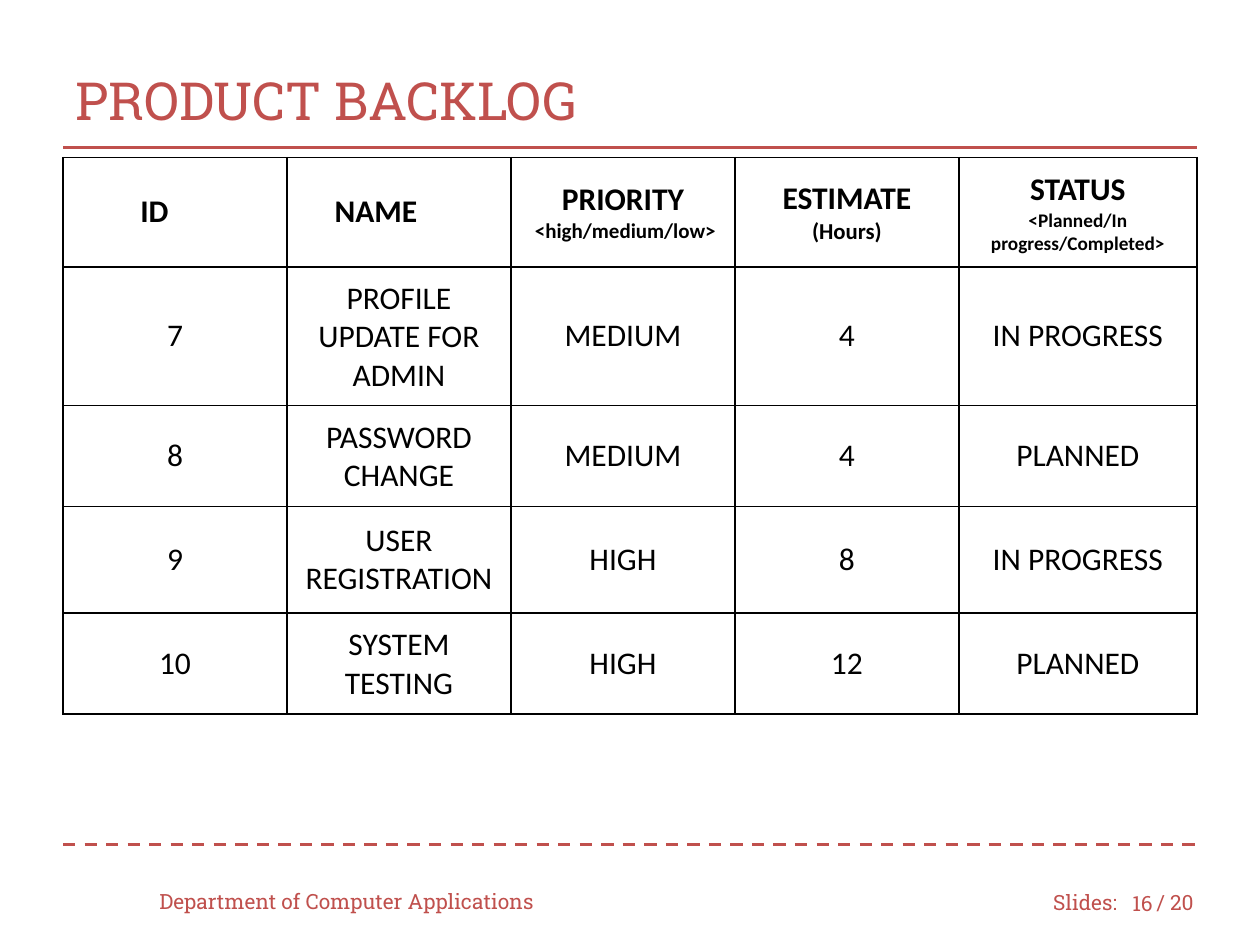
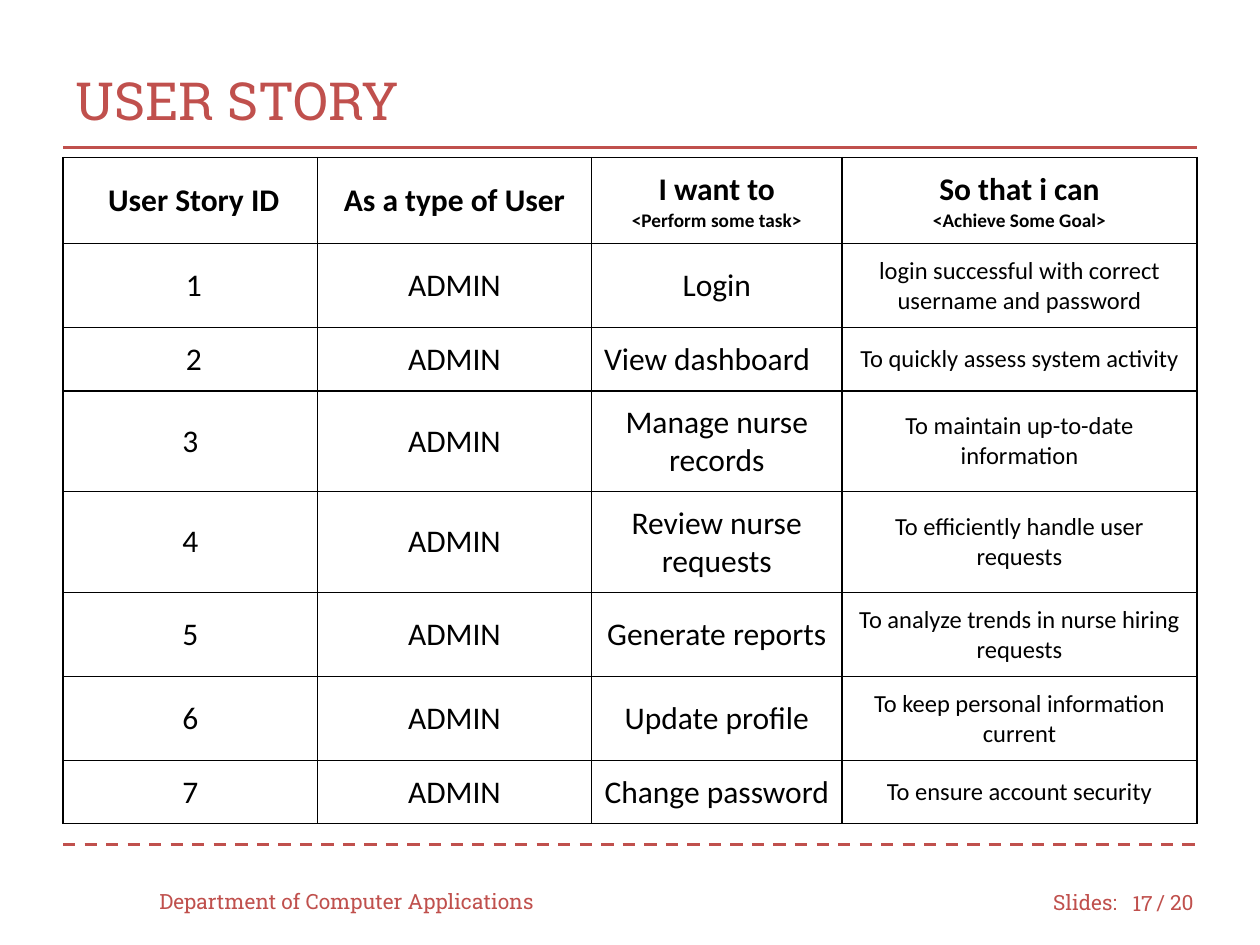
"""Build the product backlog and user story slides."""
from lxml import etree
from pptx import Presentation
from pptx import util as u
from pptx.dml.color import RGBColor
from pptx.enum import dml, shapes, text
from pptx.oxml.ns import qn

RED, BLACK, WHITE = "C0504D", "000000", "FFFFFF"
HEAD_FONT, TABLE_FONT = "Roboto Slab", "Calibri"
LEFT, CENTER, RIGHT = text.PP_ALIGN.LEFT, text.PP_ALIGN.CENTER, text.PP_ALIGN.RIGHT


def style(p, size, name, color, align=LEFT, bold=False):
    p.alignment = align
    p.font.size = u.Pt(size)
    p.font.name = name
    p.font.bold = bold
    p.font.color.rgb = RGBColor.from_string(color)


def add_borders(cell):
    tcPr = cell._tc.get_or_add_tcPr()
    for side in ("a:lnL", "a:lnR", "a:lnT", "a:lnB"):
        ln = etree.SubElement(tcPr, qn(side), w=str(u.Pt(1)))
        fill = etree.SubElement(ln, qn("a:solidFill"))
        etree.SubElement(fill, qn("a:srgbClr"), val=BLACK)


backlog = {
    "title": "PRODUCT BACKLOG",
    "widths": [128, 128, 128, 128, 136],
    "heights": [60, 35, 35, 61, 55.5],
    "sizes": [18, 18, 18, 18, 18],
    "note_sizes": [None, None, 12, 13, 11],
    "rows": [
        ["ID", "NAME", "PRIORITY\n<high/medium/low>", "ESTIMATE\n(Hours)",
         "STATUS\n<Planned/In progress/Completed>"],
        ["7", "PROFILE UPDATE FOR ADMIN", "MEDIUM", "4", "IN PROGRESS"],
        ["8", "PASSWORD CHANGE", "MEDIUM", "4", "PLANNED"],
        ["9", "USER REGISTRATION", "HIGH", "8", "IN PROGRESS"],
        ["10", "SYSTEM TESTING", "HIGH", "12", "PLANNED"],
    ],
}
tasks = [
    ("Login", "login successful with correct username and password"),
    ("View dashboard", "To quickly assess system activity"),
    ("Manage nurse records", "To maintain up-to-date information"),
    ("Review nurse requests", "To efficiently handle user requests"),
    ("Generate reports", "To analyze trends in nurse hiring requests"),
    ("Update profile", "To keep personal information current"),
    ("Change password", "To ensure account security"),
]
stories = {
    "title": "USER STORY",
    "widths": [145.5, 156.5, 143.3, 202.7],
    "heights": [47.5, 46, 35, 55.5, 55.5, 46, 46, 35],
    "sizes": [18, 18, 18, 14],
    "note_sizes": [None, None, 11, 11],
    "rows": [["User Story ID", "As a type of User", "I want to\n<Perform some task>",
              "So that i can\n<Achieve Some Goal>"]]
            + [[str(n), "ADMIN", *task] for n, task in enumerate(tasks, 1)],
}
indents = {
    "ID": (LEFT, 37), "NAME": (LEFT, 20), "<high/medium/low>": (LEFT, 6.5),
    "View dashboard": (LEFT, 0), "User Story ID": (CENTER, 4),
    "1": (CENTER, 4), "2": (CENTER, 4),
}

prs = Presentation()
prs.slide_width, prs.slide_height = u.Pt(720), u.Pt(540)

for number, page in enumerate((backlog, stories), 16):
    s = prs.slides.add_slide(prs.slide_layouts[5])

    for y, dash in ((482.4, dml.MSO_LINE.DASH), (84.2, dml.MSO_LINE.SOLID)):
        line = s.shapes.add_connector(
            shapes.MSO_CONNECTOR.STRAIGHT, u.Pt(36), u.Pt(y), u.Pt(684), u.Pt(y))
        line.line.color.rgb = RGBColor.from_string(RED)
        line.line.width = u.Pt(1.75)
        line.line.dash_style = dash
        etree.SubElement(line._element.spPr, qn("a:effectLst"))

    title = s.shapes.title
    title.left, title.top, title.width, title.height = map(u.Pt, (36, 24, 648, 66))
    title.text_frame.text = page["title"]
    title.text_frame.vertical_anchor = text.MSO_ANCHOR.MIDDLE
    style(title.text_frame.paragraphs[0], 30, HEAD_FONT, RED)

    for label, x, y, width, align in (
        ("Slides:", 594.7, 501, 54, LEFT),
        ("/ 20", 653.8, 501, 42, LEFT),
        ("Department of Computer Applications", 84, 500.5, 240, LEFT),
        (str(number), 635.8, 501.8, 30, RIGHT),
    ):
        sp = s.shapes.add_textbox(u.Pt(x), u.Pt(y), u.Pt(width), u.Pt(28.8))
        tf = sp.text_frame
        tf.word_wrap = True
        tf.vertical_anchor = text.MSO_ANCHOR.MIDDLE
        tf.text = label
        style(tf.paragraphs[0], 12, HEAD_FONT, RED, align)

    rows, widths, heights = page["rows"], page["widths"], page["heights"]
    table = s.shapes.add_table(
        len(rows), len(widths), u.Pt(36), u.Pt(90),
        u.Pt(sum(widths)), u.Pt(sum(heights))).table
    table.first_row = table.horz_banding = False
    for column, width in zip(table.columns, widths):
        column.width = u.Pt(width)
    for row, height in zip(table.rows, heights):
        row.height = u.Pt(height)

    for i, values in enumerate(rows):
        for j, value in enumerate(values):
            cell = table.cell(i, j)
            add_borders(cell)
            cell.fill.solid()
            cell.fill.fore_color.rgb = RGBColor.from_string(WHITE)
            cell.margin_left = cell.margin_right = u.Pt(7.2)
            cell.margin_top = cell.margin_bottom = u.Pt(7.2)
            cell.vertical_anchor = text.MSO_ANCHOR.MIDDLE
            cell.text = value
            is_header = i == 0
            for k, p in enumerate(cell.text_frame.paragraphs):
                size = 18 if is_header else page["sizes"][j]
                if k > 0:
                    size = page["note_sizes"][j]
                align, indent = indents.get(p.text, (CENTER, 0))
                style(p, size, TABLE_FONT, BLACK, align, is_header)
                if indent:
                    p._p.get_or_add_pPr().set("marL", str(u.Pt(indent)))

prs.save("out.pptx")
